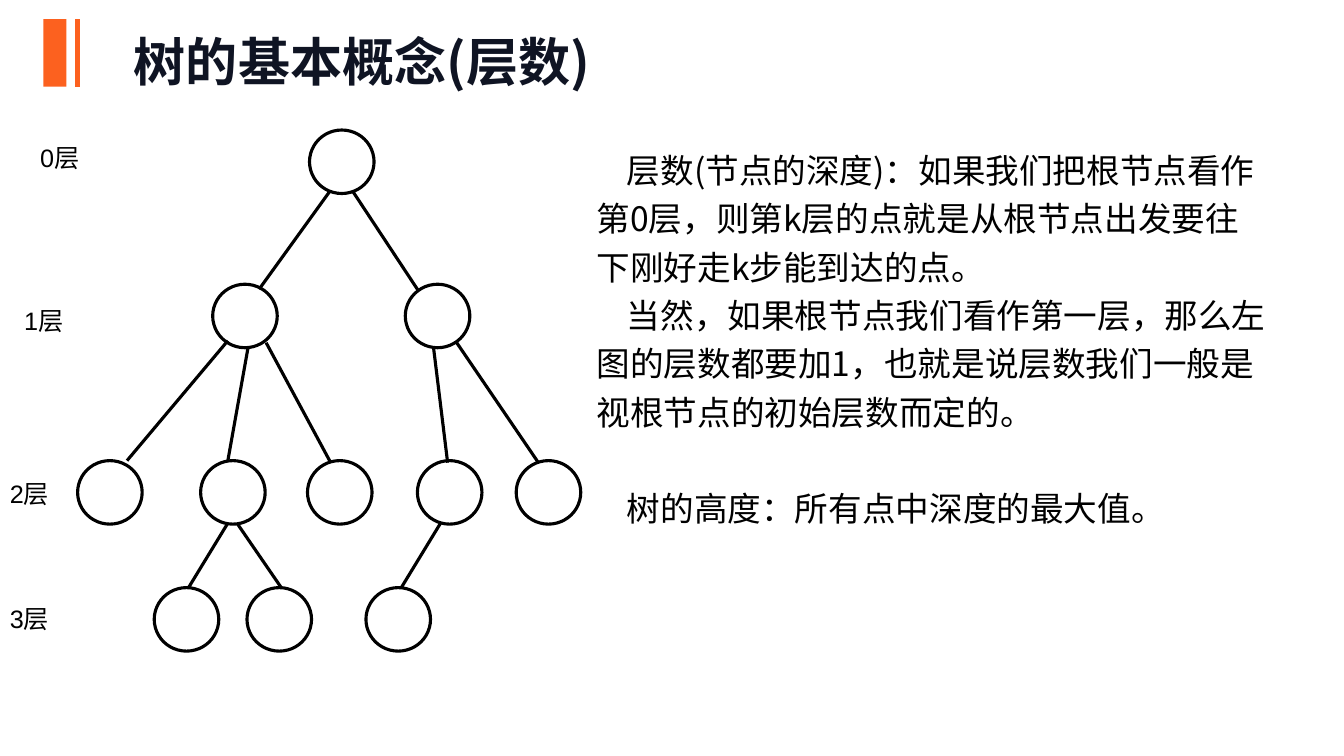
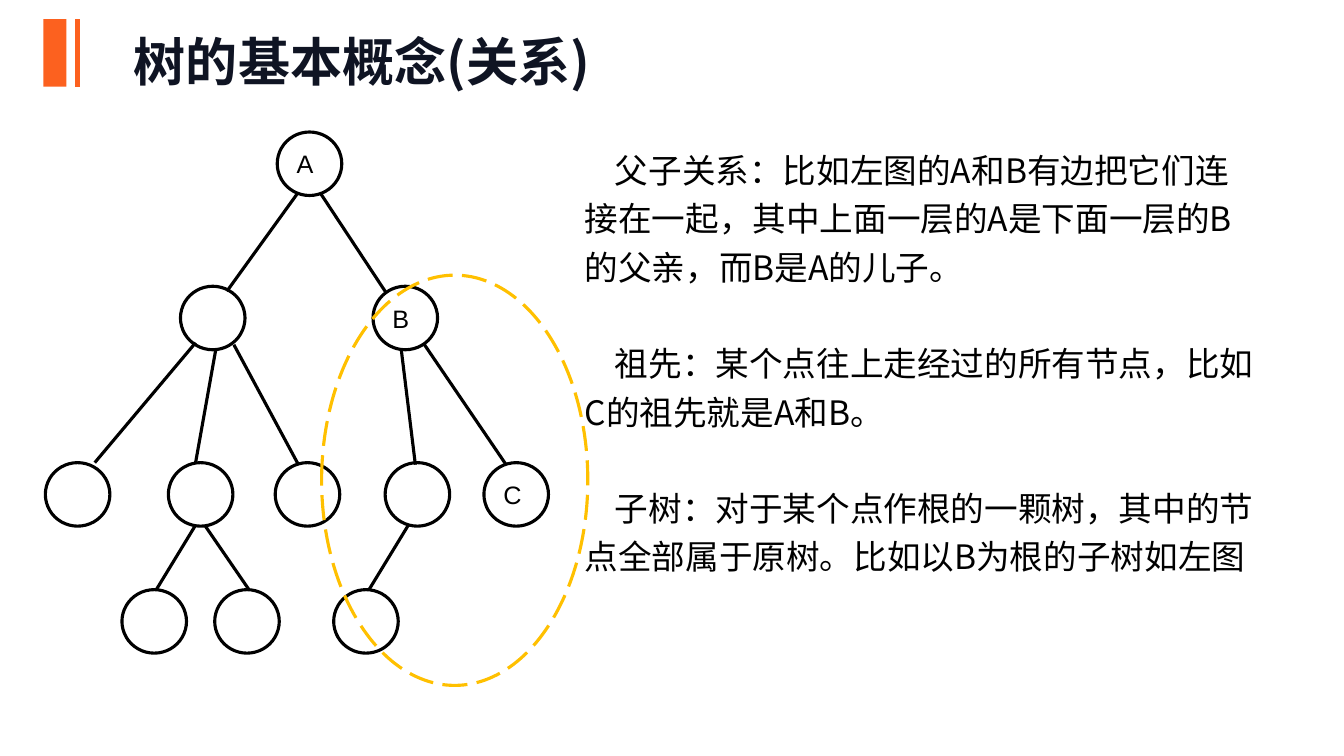
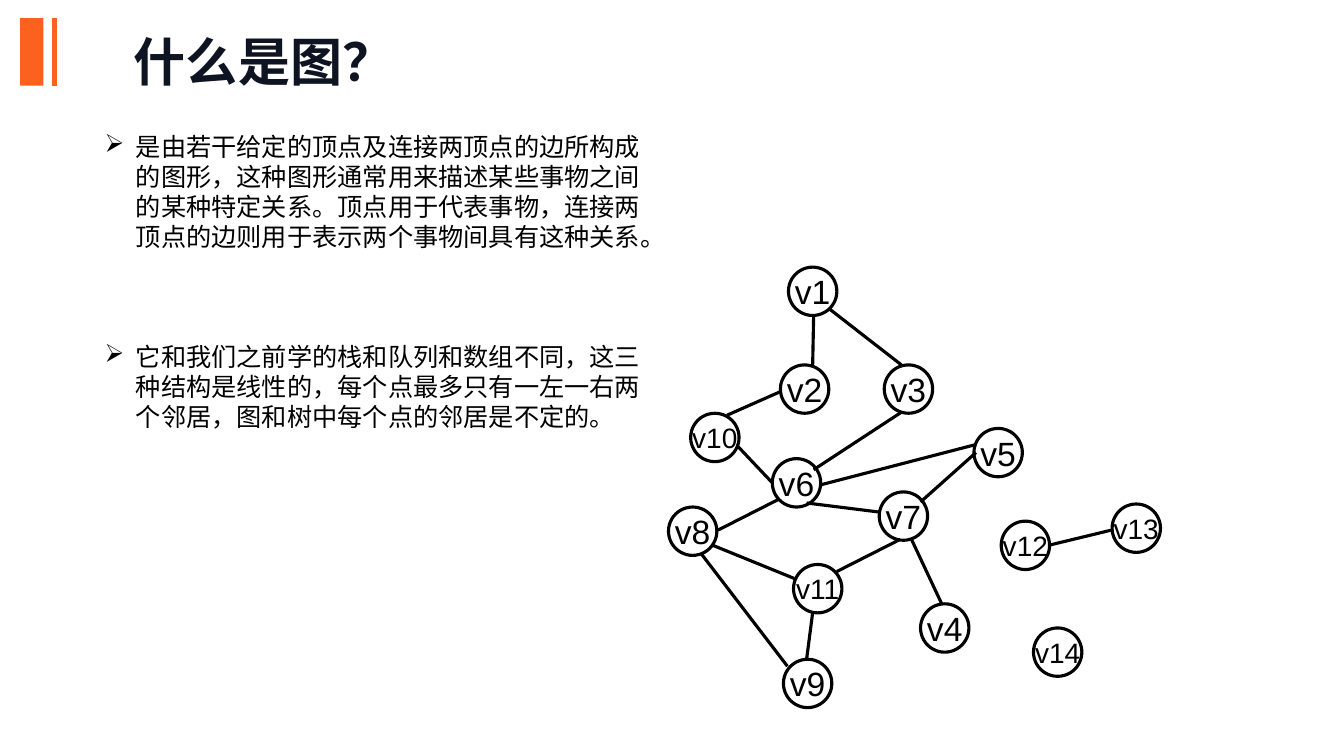
import dataclasses
import typing

import lxml.etree
import pptx
import pptx.dml.color
import pptx.enum.dml
import pptx.enum.shapes
import pptx.enum.text
import pptx.oxml.ns
import pptx.util

PX = 9144
ORANGE, NAVY, BLACK, WHITE, GOLD = "FC611F", "0F1423", "000000", "FFFFFF", "FFC000"
SANS, LATIN = "Noto Sans CJK SC", "Arial"
OVAL = pptx.enum.shapes.MSO_SHAPE.OVAL
RECTANGLE = pptx.enum.shapes.MSO_SHAPE.RECTANGLE
LEFT = pptx.enum.text.PP_ALIGN.LEFT
CENTER = pptx.enum.text.PP_ALIGN.CENTER
MIDDLE = pptx.enum.text.MSO_ANCHOR.MIDDLE


class Edge(typing.NamedTuple):
    x1: int
    y1: int
    x2: int
    y2: int


class Node(typing.NamedTuple):
    x: int
    y: int
    text: str = ""
    filled: bool = False


@dataclasses.dataclass(frozen=True)
class TextStyle:
    size: float
    font: str = LATIN
    color: str = BLACK
    bold: bool = False
    align: pptx.enum.text.PP_ALIGN = LEFT
    pitch: float = 0
    margin: int = 0
    indent: int = 0
    bullet: str = ""


TITLE = TextStyle(37.2, SANS, NAVY, True, pitch=58)
BODY = TextStyle(24, SANS, pitch=34.5, indent=30)
BULLETS = TextStyle(18, pitch=21.4, margin=31, indent=-31, bullet="➢")
LABEL = TextStyle(18)
VERTEX = TextStyle(24, align=CENTER)
LONG_VERTEX = TextStyle(20, align=CENTER)

TREE_NODES = [
    Node(307, 129, "A", True),
    Node(211, 282), Node(402, 282, "B", True),
    Node(77, 457), Node(199, 457), Node(305, 457), Node(414, 457), Node(512, 457, "C", True),
    Node(153, 583), Node(245, 583), Node(363, 583),
]
TREE_EDGES = [
    Edge(327, 190, 257, 287), Edge(350, 190, 416, 290),
    Edge(226, 338, 126, 457), Edge(246, 345, 226, 457), Edge(264, 340, 328, 459),
    Edge(430, 345, 444, 459), Edge(453, 340, 534, 459),
    Edge(226, 519, 187, 583), Edge(235, 519, 279, 583), Edge(437, 519, 398, 583),
]
GRAPH_NODES = [
    Node(782, 265, "v1"), Node(774, 362, "v2"), Node(877, 362, "v3"), Node(913, 599, "v4"),
    Node(966, 425, "v5"), Node(766, 455, "v6"), Node(872, 488, "v7"), Node(663, 503, "v8"),
    Node(777, 654, "v9"), Node(685, 410, "v10"), Node(787, 560, "v11"),
    Node(993, 517, "v12"), Node(1103, 500, "v13"), Node(1025, 623, "v14"),
]
GRAPH_EDGES = [
    Edge(807, 314, 806, 363), Edge(822, 306, 894, 362), Edge(773, 389, 721, 412),
    Edge(766, 479, 732, 443), Edge(807, 466, 894, 409), Edge(968, 441, 814, 481),
    Edge(913, 498, 968, 449), Edge(872, 508, 800, 499), Edge(773, 495, 712, 526),
    Edge(707, 541, 788, 574), Edge(830, 567, 893, 535), Edge(904, 535, 934, 599),
    Edge(806, 608, 800, 654), Edge(696, 550, 781, 661), Edge(1040, 541, 1102, 526),
]


def rgb(color: str) -> pptx.dml.color.RGBColor:
    return pptx.dml.color.RGBColor.from_string(color)


def write(frame, text: str, style: TextStyle, gap: float = 0) -> None:
    for index, line in enumerate(text.split("\n")):
        para = frame.add_paragraph() if index else frame.paragraphs[0]
        para.text = line
        para.alignment = style.align
        if style.pitch:
            para.line_spacing = pptx.util.Pt(style.pitch)
        if index and gap:
            para.space_before = pptx.util.Pt(gap)
        para.font.size = pptx.util.Pt(style.size)
        para.font.bold = style.bold
        para.font.color.rgb = rgb(style.color)
        para.font.name = style.font
        properties = para._p.get_or_add_pPr()
        defaults = properties.find(pptx.oxml.ns.qn("a:defRPr"))
        lxml.etree.SubElement(defaults, pptx.oxml.ns.qn("a:ea"), typeface=SANS)
        properties.set("marL", str(style.margin * PX))
        properties.set("indent", str(style.indent * PX))
        if style.bullet:
            bullet = lxml.etree.Element(pptx.oxml.ns.qn("a:buChar"), char=style.bullet)
            defaults.addprevious(bullet)


def add_text(page, x: int, y: int, width: int, height: int, text: str, style: TextStyle):
    box = page.shapes.add_textbox(x * PX, y * PX, width * PX, height * PX)
    box.text_frame.word_wrap = True
    write(box.text_frame, text, style)
    return box


def add_line(page, edge: Edge, color: str = BLACK, weight: float = 2.25) -> None:
    line = page.shapes.add_connector(
        pptx.enum.shapes.MSO_CONNECTOR.STRAIGHT, *(value * PX for value in edge))
    line.line.color.rgb = rgb(color)
    line.line.width = pptx.util.Pt(weight)
    lxml.etree.SubElement(line._element.spPr, pptx.oxml.ns.qn("a:effectLst"))


def add_figure(page, kind, x: int, y: int, width: int, height: int,
               fill: str = "", outline: str = ""):
    figure = page.shapes.add_shape(kind, x * PX, y * PX, width * PX, height * PX)
    figure.shadow.inherit = False
    if fill:
        figure.fill.solid()
        figure.fill.fore_color.rgb = rgb(fill)
    else:
        figure.fill.background()
    if outline:
        figure.line.color.rgb = rgb(outline)
        figure.line.width = pptx.util.Pt(2.25)
    else:
        figure.line.fill.background()
    return figure


def add_node(page, node: Node, width: int, height: int, style: TextStyle) -> None:
    circle = add_figure(page, OVAL, node.x, node.y, width, height,
                        WHITE if node.filled else "", BLACK)
    if node.text:
        circle.text_frame.word_wrap = False
        circle.text_frame.vertical_anchor = MIDDLE
        write(circle.text_frame, node.text, style)


def add_page(deck, title: str, mark_x: int = 43, mark_y: int = 19):
    page = deck.slides.add_slide(deck.slide_layouts[6])
    add_figure(page, RECTANGLE, mark_x, mark_y, 23, 67, ORANGE)
    add_line(page, Edge(mark_x + 34, mark_y, mark_x + 34, mark_y + 67), ORANGE, 3)
    box = add_text(page, 123, -17, 1023, 136, title, TITLE)
    box.text_frame.vertical_anchor = MIDDLE
    return page


def add_tree(page, dx: int = 0, dy: int = 0, lettered: bool = False) -> None:
    for edge in TREE_EDGES:
        add_line(page, Edge(edge.x1 + dx, edge.y1 + dy, edge.x2 + dx, edge.y2 + dy))
    for node in TREE_NODES:
        text = node.text if lettered else ""
        add_node(page, Node(node.x + dx, node.y + dy, text, node.filled), 64, 63, LABEL)


def build_levels(deck) -> None:
    page = add_page(deck, "树的基本概念(层数)")
    add_tree(page)
    box = add_text(
        page, 582, 136, 687, 398,
        "层数(节点的深度)：如果我们把根节点看作第0层，则第k层的点就是从根节点出发要往下刚好走k步能到达的点。\n"
        "当然，如果根节点我们看作第一层，那么左图的层数都要加1，也就是说层数我们一般是视根节点的初始层数而定的。\n"
        "树的高度：所有点中深度的最大值。", BODY)
    box.text_frame.paragraphs[-1].space_before = pptx.util.Pt(BODY.pitch)
    for level, (x, y) in enumerate([(30, 136), (14, 298), (0, 470), (0, 594)]):
        add_text(page, x, y, 109, 40, f"{level}层", LABEL)


def build_relations(deck) -> None:
    page = add_page(deck, "树的基本概念(关系)")
    add_tree(page, -32, 2, True)
    box = add_text(
        page, 570, 136, 687, 495,
        "父子关系：比如左图的A和B有边把它们连接在一起，其中上面一层的A是下面一层的B的父亲，而B是A的儿子。\n"
        "祖先：某个点往上走经过的所有节点，比如C的祖先就是A和B。\n"
        "子树：对于某个点作根的一颗树，其中的节点全部属于原树。比如以B为根的子树如左图", BODY)
    for para in box.text_frame.paragraphs[1:]:
        para.space_before = pptx.util.Pt(BODY.pitch)
    subtree = add_figure(page, OVAL, 319, 273, 264, 407, outline=GOLD)
    subtree.line.dash_style = pptx.enum.dml.MSO_LINE.LONG_DASH


def build_graph(deck) -> None:
    page = add_page(deck, "什么是图？", 20, 18)
    for edge in GRAPH_EDGES:
        add_line(page, edge)
    for node in GRAPH_NODES:
        add_node(page, node, 48, 48, VERTEX if len(node.text) == 2 else LONG_VERTEX)
    box = add_text(
        page, 94, 126, 559, 521,
        "是由若干给定的顶点及连接两顶点的边所构成的图形，这种图形通常用来描述某些事物之间的某种特定关系。"
        "顶点用于代表事物，连接两顶点的边则用于表示两个事物间具有这种关系。\n"
        "它和我们之前学的栈和队列和数组不同，这三种结构是线性的，每个点最多只有一左一右两个邻居，"
        "图和树中每个点的邻居是不定的。", BULLETS)
    box.text_frame.paragraphs[1].space_before = pptx.util.Pt(3 * BULLETS.pitch)


def main() -> None:
    deck = pptx.Presentation()
    deck.slide_width, deck.slide_height = 1333 * PX, 750 * PX
    for build in (build_levels, build_relations, build_graph):
        build(deck)
    deck.save("out.pptx")


if __name__ == "__main__":
    main()
